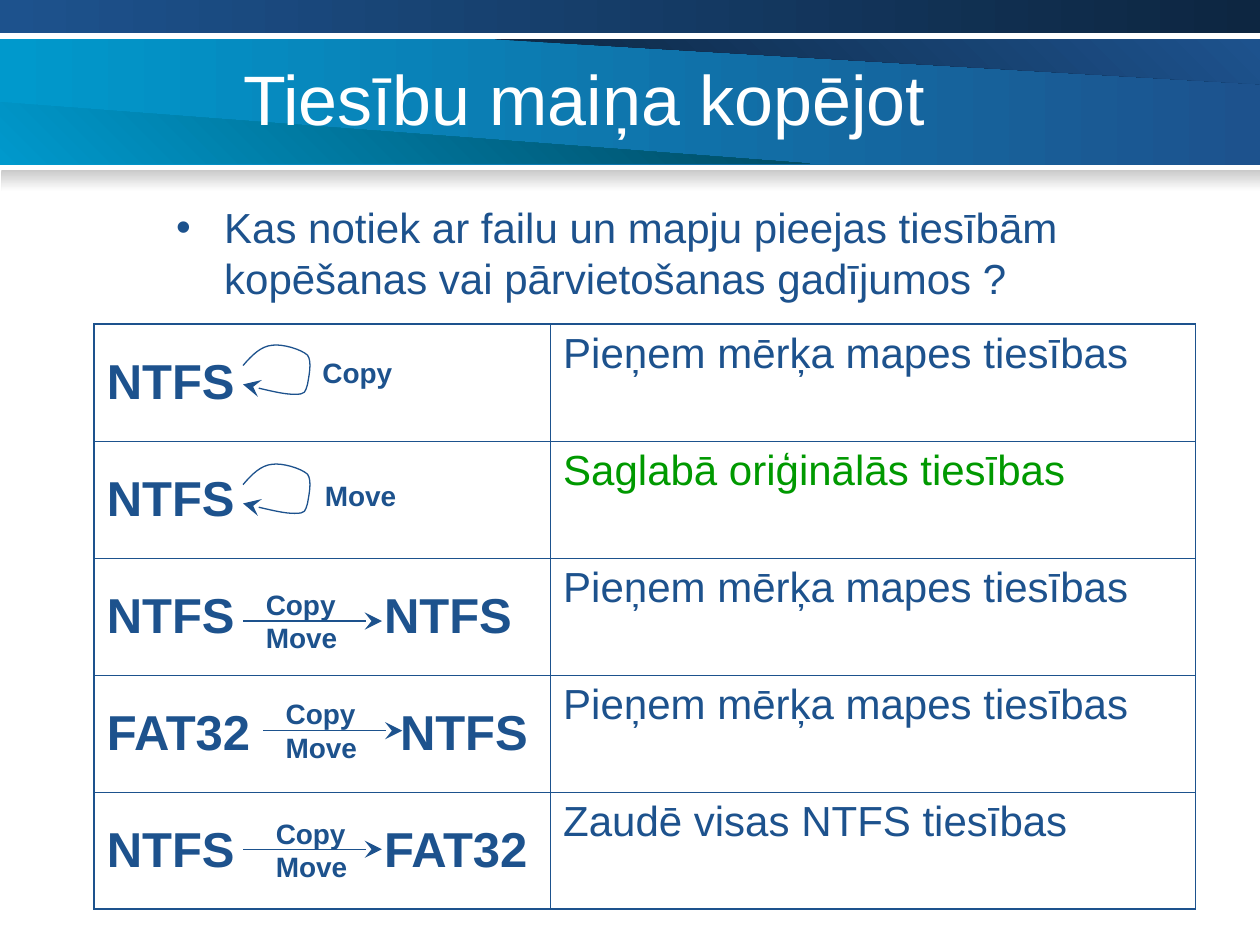
import dataclasses
from typing import NamedTuple

import pptx
import pptx.dml.color
import pptx.enum.shapes
import pptx.enum.text
import pptx.oxml
import pptx.oxml.ns
import pptx.util
from pptx.util import Cm

COLORS = {"blue": "1D528D", "navy": "0D2641", "cyan": "0099CC", "teal": "00475E",
          "green": "009900", "grey": "CACACA", "white": "FFFFFF"}
FONT = "Arial"
TABLE_TOP, ROW_HEIGHT = 6.53, 2.36
LABEL_WIDTH = 2.1
LOOP = [(4.9, 7.37), (5.08, 7.16), (5.26, 6.98), (5.49, 6.96),
        (5.69, 6.93), (6.07, 7.04), (6.2, 7.16), (6.3, 7.29), (6.22, 7.62), (6.2, 7.75),
        (6.15, 7.9), (6.17, 7.95), (5.94, 7.95), (5.74, 7.95), (5.31, 7.85), (4.9, 7.75)]


class Box(NamedTuple):
    left: float
    top: float
    width: float
    height: float

    def lengths(self) -> list:
        return [Cm(value) for value in self]


@dataclasses.dataclass
class Band:
    box: Box
    start: str
    end: str
    angle: int = 0


@dataclasses.dataclass
class Wedge:
    points: list
    start: str
    end: str


@dataclasses.dataclass
class Transfer:
    """An arrow between two file systems, with its label box."""
    left: float
    top: float
    label_left: float
    label_top: float


@dataclasses.dataclass
class Entry:
    text: str
    color: str = "blue"
    tab: float = 0


BANDS = [Band(Box(0, 0.79, 25.43, 2.54), "cyan", "blue"),
         Band(Box(0, 0, 25.4, 0.66), "blue", "navy"),
         Band(Box(0.03, 3.43, 25.37, 0.43), "grey", "white", 270)]
WEDGES = [Wedge([(24.94, 0.79), (9.98, 0.79), (25.4, 1.7), (25.4, 0.79)], "navy", "blue"),
          Wedge([(0.48, 3.3), (16.33, 3.3), (0, 2.06), (0, 3.3)], "cyan", "teal")]
SYSTEMS = [Entry("NTFS"), Entry("NTFS"), Entry("NTFS\tNTFS", tab=5.59),
           Entry("FAT32\tNTFS", tab=5.91), Entry("NTFS\tFAT32", tab=5.59)]
RIGHTS = [Entry("Pieņem mērķa mapes tiesības"),
          Entry("Saglabā oriģinālās tiesības", "green"),
          Entry("Pieņem mērķa mapes tiesības"),
          Entry("Pieņem mērķa mapes tiesības"),
          Entry("Zaudē visas NTFS tiesības")]
TRANSFERS = [Transfer(4.9, 12.52, 5.11, 11.71), Transfer(5.31, 14.73, 5.51, 13.92),
             Transfer(4.9, 17.12, 5.31, 16.33)]


def rgb(name: str) -> pptx.dml.color.RGBColor:
    return pptx.dml.color.RGBColor.from_string(COLORS[name])


def add_element(parent, tag: str, **attributes):
    child = parent.makeelement(pptx.oxml.ns.qn(tag), attributes)
    parent.append(child)
    return child


def write_text(frame, text: str, *, size: float, color: str = "blue", bold: bool = False) -> None:
    frame.text = text
    for paragraph in frame.paragraphs:
        paragraph.alignment = pptx.enum.text.PP_ALIGN.LEFT
        for run in paragraph.runs:
            run.font.name, run.font.size, run.font.bold = FONT, pptx.util.Pt(size), bold
            run.font.color.rgb = rgb(color)


def fill_gradient(shape, start: str, end: str, angle: int) -> None:
    shape.shadow.inherit = False
    shape.line.fill.background()
    shape.fill.gradient()
    shape.fill.gradient_angle = angle
    for stop, color in zip(shape.fill.gradient_stops, (start, end)):
        stop.color.rgb = rgb(color)


def draw_outline(slide, points: list, close: bool):
    (left, top), *others = [(Cm(x), Cm(y)) for x, y in points]
    builder = slide.shapes.build_freeform(left, top)
    builder.add_line_segments(others, close=close)
    return builder.convert_to_shape()


def draw_band(slide, band: Band) -> None:
    shape = slide.shapes.add_shape(pptx.enum.shapes.MSO_SHAPE.RECTANGLE, *band.box.lengths())
    fill_gradient(shape, band.start, band.end, band.angle)


def draw_wedge(slide, wedge: Wedge) -> None:
    fill_gradient(draw_outline(slide, wedge.points, True), wedge.start, wedge.end, 45)


def style_arrow(shape) -> None:
    shape.line.color.rgb = rgb("blue")
    shape.line.width = pptx.util.Pt(0.75)
    add_element(shape.line._get_or_add_ln(), "a:tailEnd", type="stealth", w="lg", len="lg")


def draw_loop(slide, shift: float) -> None:
    """Draw the arrow back to the same file system, with every three points as one curve."""
    shape = draw_outline(slide, [(x, y + shift) for x, y in LOOP], False)
    shape.shadow.inherit = False
    shape.fill.background()
    style_arrow(shape)
    outline = shape._element.find(".//" + pptx.oxml.ns.qn("a:path"))
    segments = outline.findall(pptx.oxml.ns.qn("a:lnTo"))
    for first in range(0, len(segments), 3):
        curve = add_element(outline, "a:cubicBezTo")
        for segment in segments[first:first + 3]:
            curve.append(segment[0])
            outline.remove(segment)


def draw_label(slide, text: str, left: float, top: float, height: float) -> None:
    frame = slide.shapes.add_textbox(*Box(left, top, LABEL_WIDTH, height).lengths()).text_frame
    frame.word_wrap = True
    frame.auto_size = pptx.enum.text.MSO_AUTO_SIZE.NONE
    write_text(frame, text, size=16, bold=True)


def draw_transfer(slide, transfer: Transfer) -> None:
    connector = slide.shapes.add_connector(
        pptx.enum.shapes.MSO_CONNECTOR.STRAIGHT, Cm(transfer.left), Cm(transfer.top),
        Cm(transfer.left + 2.8), Cm(transfer.top))
    style_arrow(connector)
    add_element(connector._element.spPr, "a:effectLst")
    draw_label(slide, "Copy\nMove", transfer.label_left, transfer.label_top, 1.63)


def set_border(cell, side: str, width: float) -> None:
    line = add_element(cell._tc.get_or_add_tcPr(), f"a:ln{side}", w=str(pptx.util.Pt(width)))
    add_element(add_element(line, "a:solidFill"), "a:srgbClr", val=COLORS["blue"])


def draw_table(slide, left: float, width: float, entries: list, *, size: float,
               bold: bool, anchor) -> None:
    box = Box(left, TABLE_TOP, width, ROW_HEIGHT * len(entries))
    table = slide.shapes.add_table(len(entries), 1, *box.lengths()).table
    table.first_row = table.horz_banding = False
    for index, entry in enumerate(entries):
        cell = table.cell(index, 0)
        last = index == len(entries) - 1
        for side, thick in (("L", True), ("R", True), ("T", index == 0), ("B", last)):
            set_border(cell, side, 1.08 if thick else 0.45)
        cell.fill.background()
        cell.vertical_anchor = anchor
        write_text(cell.text_frame, entry.text, size=size, color=entry.color, bold=bold)
        if entry.tab:
            stops = add_element(cell.text_frame.paragraphs[0]._p.get_or_add_pPr(), "a:tabLst")
            add_element(stops, "a:tab", pos=str(Cm(entry.tab)), algn="l")


def draw_question(slide) -> None:
    frame = slide.shapes.add_textbox(*Box(3.3, 3.94, 18.44, 2.31).lengths()).text_frame
    frame.word_wrap = True
    write_text(frame, "Kas notiek ar failu un mapju pieejas tiesībām\v"
                      "kopēšanas vai pārvietošanas gadījumos ?", size=24)
    properties = frame.paragraphs[0]._p.get_or_add_pPr()
    properties.set("marL", str(Cm(0.97)))
    properties.set("indent", str(Cm(-0.97)))
    add_element(add_element(properties, "a:buClr"), "a:srgbClr", val=COLORS["blue"])
    add_element(properties, "a:buFont", typeface=FONT)
    add_element(properties, "a:buChar", char="•")


def place_title(slide) -> None:
    title = slide.shapes.title
    title.left, title.top, title.width, title.height = Box(4.65, 0.76, 18.42, 2.41).lengths()
    title.text_frame.vertical_anchor = pptx.enum.text.MSO_ANCHOR.MIDDLE
    write_text(title.text_frame, "Tiesību maiņa kopējot", size=40, color="white")
    slide.shapes._spTree.append(title._element)  # in front of the header bands


def main() -> None:
    presentation = pptx.Presentation()
    presentation.slide_width, presentation.slide_height = Cm(25.4), Cm(19.05)
    slide = presentation.slides.add_slide(presentation.slide_layouts[5])
    draw_band(slide, BANDS[0])
    for wedge in WEDGES:
        draw_wedge(slide, wedge)
    for band in BANDS[1:]:
        draw_band(slide, band)
    place_title(slide)
    draw_question(slide)
    anchors = pptx.enum.text.MSO_ANCHOR
    draw_table(slide, 1.9, 9.2, SYSTEMS, size=28, bold=True, anchor=anchors.MIDDLE)
    draw_table(slide, 11.1, 13, RIGHTS, size=24, bold=False, anchor=anchors.TOP)
    for shift in (0, 2.4):
        draw_loop(slide, shift)
    draw_label(slide, "Copy", 6.25, 7.04, 0.94)
    draw_label(slide, "Move", 6.3, 9.53, 0.94)
    for transfer in TRANSFERS:
        draw_transfer(slide, transfer)
    presentation.save("out.pptx")


if __name__ == "__main__":
    main()
